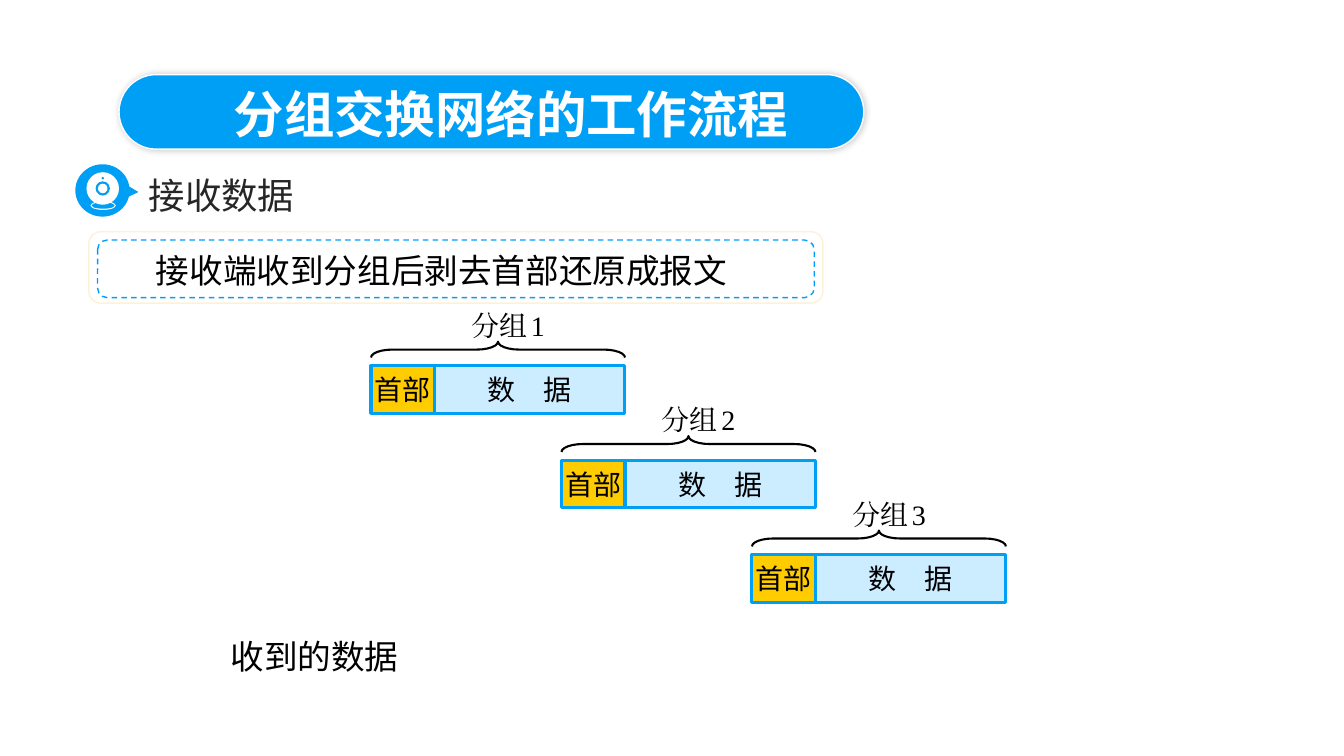
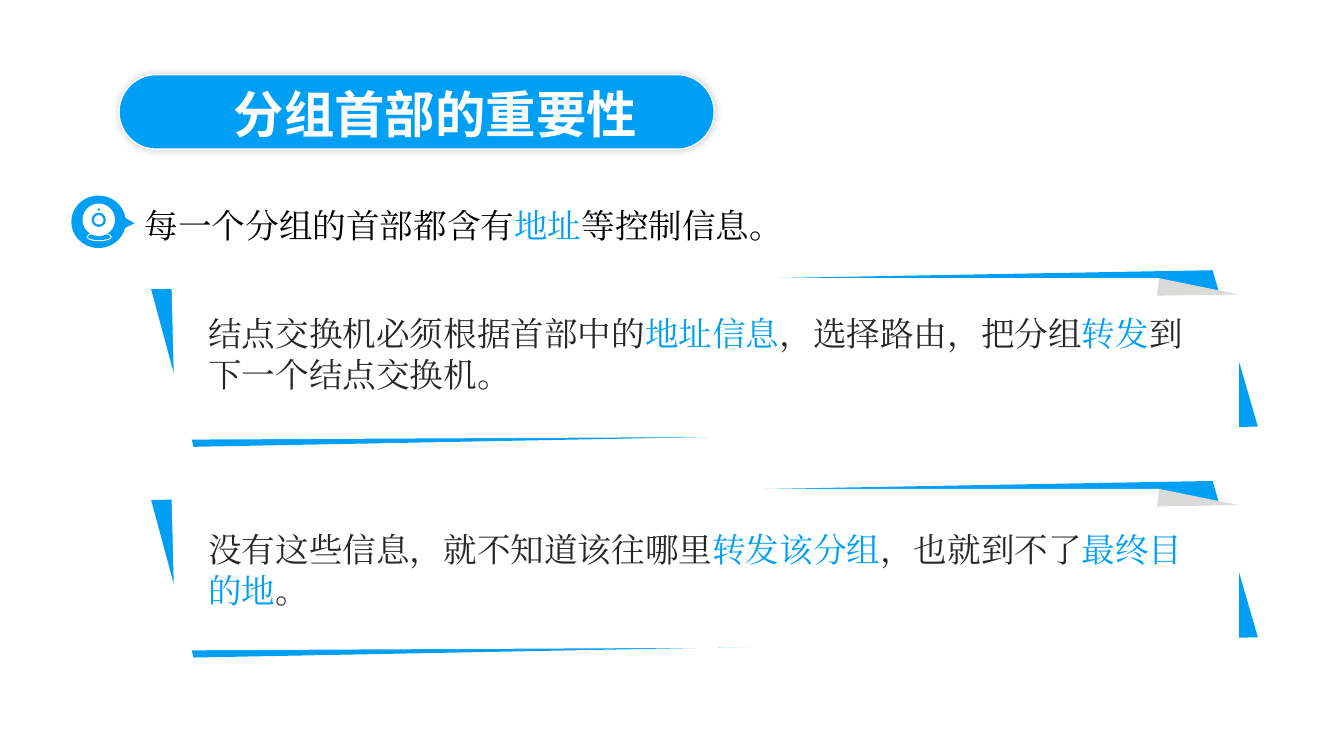
from dataclasses import dataclass
from typing import Any, NamedTuple, Optional

import pptx
import pptx.dml.color
import pptx.enum.dml
import pptx.enum.shapes
import pptx.enum.text
import pptx.oxml
import pptx.oxml.ns
import pptx.util

Cm = pptx.util.Cm
Pt = pptx.util.Pt
RGB = pptx.dml.color.RGBColor
SHAPE = pptx.enum.shapes.MSO_SHAPE
ALIGN = pptx.enum.text.PP_ALIGN


@dataclass(frozen=True)
class Theme:
    accent: str = "009FF6"
    white: str = "FFFFFF"
    black: str = "000000"
    ink: str = "262626"
    payload: str = "CCECFF"
    header: str = "FFCC00"
    cream: str = "FEF1D6"
    fold: str = "DADAD8"
    title_font: str = "Noto Sans CJK JP"
    body_font: str = "Noto Sans CJK SC"
    serif_font: str = "Times New Roman"
    title_size: int = 36
    heading_size: int = 26
    body_size: int = 24
    packet_size: int = 20
    gap_size: int = 10


THEME = Theme()


class Box(NamedTuple):
    left: float
    top: float
    width: float
    height: float

    def lengths(self) -> tuple:
        return tuple(Cm(value) for value in self)


class Span(NamedTuple):
    text: str
    color: str = THEME.black
    size: float = THEME.body_size
    font: str = THEME.body_font
    bold: bool = False


class Outline(NamedTuple):
    color: str
    width: float
    dashed: bool = False


class Packet(NamedTuple):
    number: int
    left: float
    top: float


class Panel(NamedTuple):
    top: float
    text_top: float
    spans: list[Span]


PANEL_LAYERS = (
    (THEME.accent, ((0, 0.48), (1.07, 4.45), (27.89, 3.94), (26.75, 0))),
    (THEME.white, ((0.51, 0.2), (0.61, 4.27), (27.41, 4.14), (27.41, 0.61),
                   (25.4, 0.61), (25.4, 0.2))),
    (THEME.fold, ((25.4, 0.2), (27.41, 0.61), (25.35, 0.64))),
)

WEBCAM_PARTS = (
    (Box(0.38, 0.93, 0.64, 0.22), THEME.white),
    (Box(0.41, 0.96, 0.58, 0.16), THEME.accent),
    (Box(0.28, 0.2, 0.82, 0.82), THEME.white),
    (Box(0.51, 0.43, 0.36, 0.36), THEME.accent),
    (Box(0.57, 0.49, 0.24, 0.24), THEME.white),
    (Box(0.66, 0.32, 0.06, 0.06), THEME.accent),
)


def paint(shape: Any, fill: Optional[str], outline: Optional[Outline] = None) -> None:
    shape.shadow.inherit = False
    if fill:
        shape.fill.solid()
        shape.fill.fore_color.rgb = RGB.from_string(fill)
    else:
        shape.fill.background()
    if outline:
        shape.line.color.rgb = RGB.from_string(outline.color)
        shape.line.width = Pt(outline.width)
        if outline.dashed:
            shape.line.dash_style = pptx.enum.dml.MSO_LINE.DASH
    else:
        shape.line.fill.background()


def add_block(slide: Any, kind: Any, box: Box, fill: Optional[str],
              outline: Optional[Outline] = None) -> Any:
    block = slide.shapes.add_shape(kind, *box.lengths())
    paint(block, fill, outline)
    return block


def write(frame: Any, spans: list[Span], spacing: Optional[float] = None) -> None:
    paragraph = frame.paragraphs[0]
    if spacing:
        paragraph.line_spacing = spacing
    for span in spans:
        run = paragraph.add_run()
        run.text = span.text
        run.font.size = Pt(span.size)
        run.font.bold = span.bold
        run.font.name = span.font
        run.font.color.rgb = RGB.from_string(span.color)
        latin = run.font._element.find(pptx.oxml.ns.qn("a:latin"))
        latin.addnext(pptx.oxml.parse_xml(
            f'<a:ea {pptx.oxml.ns.nsdecls("a")} typeface="{span.font}"/>'))


def add_text(slide: Any, box: Box, spans: list[Span],
             spacing: Optional[float] = None, wrap: bool = True) -> None:
    frame = slide.shapes.add_textbox(*box.lengths()).text_frame
    frame.word_wrap = wrap
    write(frame, spans, spacing)


def add_title(slide: Any, title: str, width: float) -> None:
    band = add_block(slide, SHAPE.ROUNDED_RECTANGLE, Box(3, 1.88, width, 1.88),
                     THEME.accent, Outline(THEME.white, 1))
    band.adjustments[0] = 0.5
    effects = band._element.spPr.find(pptx.oxml.ns.qn("a:effectLst"))
    effects.append(pptx.oxml.parse_xml(
        f'<a:outerShdw {pptx.oxml.ns.nsdecls("a")} blurRad="{Pt(5)}" dist="0" '
        'algn="ctr" rotWithShape="0"><a:srgbClr val="000000">'
        '<a:alpha val="20000"/></a:srgbClr></a:outerShdw>'))
    add_text(slide, Box(5.64, 1.98, width - 2.64, 1.8),
             [Span(title, THEME.white, THEME.title_size, THEME.title_font, True)])


def add_heading(slide: Any, left: float, top: float, spans: list[Span]) -> None:
    bubble = add_block(slide, SHAPE.OVAL_CALLOUT, Box(left, top, 1.37, 1.32),
                       THEME.accent)
    bubble.adjustments[0] = 0.66
    bubble.adjustments[1] = 0.03
    for part, color in WEBCAM_PARTS:
        add_block(slide, SHAPE.OVAL,
                  part._replace(left=left + part.left, top=top + part.top), color)
    add_text(slide, Box(left + 1.6, top, 18, 1.45), spans, 1.1)


def add_packet(slide: Any, packet: Packet) -> None:
    header_width, data_width, height = 1.6, 4.8, 1.2
    total = header_width + data_width
    fields = (
        ("数　据", packet.left + header_width, data_width, THEME.payload),
        ("首部", packet.left, header_width, THEME.header),
    )
    for label, left, width, fill in fields:
        field = add_block(slide, SHAPE.RECTANGLE, Box(left, packet.top, width, height),
                          fill, Outline(THEME.accent, 2.25))
        frame = field.text_frame
        frame.word_wrap = False
        frame.vertical_anchor = pptx.enum.text.MSO_ANCHOR.MIDDLE
        frame.paragraphs[0].alignment = ALIGN.CENTER
        write(frame, [Span(label, size=THEME.packet_size)])
    depth = 0.4
    brace = add_block(
        slide, SHAPE.LEFT_BRACE,
        Box(packet.left + (total - depth) / 2, packet.top - 0.41 - total / 2,
            depth, total),
        None, Outline(THEME.black, 1.5))
    brace.rotation = 90
    brace.adjustments[0] = 1.34
    add_text(slide, Box(packet.left + 2.28, packet.top - 1.57, 2.46, 1.12),
             [Span("分组", size=THEME.packet_size, font=THEME.serif_font),
              Span(" ", size=THEME.gap_size, font=THEME.serif_font),
              Span(str(packet.number), size=THEME.packet_size, font=THEME.serif_font)],
             wrap=False)


def add_panel(slide: Any, panel: Panel) -> None:
    left = 3.81
    for color, corners in PANEL_LAYERS:
        points = [(Cm(left + x), Cm(panel.top + y)) for x, y in corners]
        builder = slide.shapes.build_freeform(*points[0])
        builder.add_line_segments(points[1:], close=True)
        paint(builder.convert_to_shape(), color)
    add_text(slide, Box(5, panel.text_top, 25.4, 2.31), panel.spans)


def serif(text: str, color: str) -> Span:
    return Span(text, color, font=THEME.serif_font)


def build_workflow(slide: Any) -> None:
    add_title(slide, "分组交换网络的工作流程", 18.77)
    add_block(slide, SHAPE.ROUNDED_RECTANGLE, Box(2.24, 5.84, 18.5, 1.8),
              THEME.white, Outline(THEME.cream, 1))
    add_text(slide, Box(3.68, 6.17, 17.27, 1.27),
             [Span("接收端收到分组后剥去首部还原成报文")])
    add_block(slide, SHAPE.ROUNDED_RECTANGLE, Box(2.46, 6.05, 18.06, 1.45),
              None, Outline(THEME.accent, 1, True))
    for index in range(3):
        add_packet(slide, Packet(index + 1, 9.35 + 4.8 * index, 9.22 + 2.38 * index))
    add_text(slide, Box(5.56, 15.9, 5, 1.27), [Span("收到的数据")])
    add_heading(slide, 1.9, 4.14, [Span("接收数据", THEME.ink, THEME.heading_size)])


def build_importance(slide: Any) -> None:
    add_title(slide, "分组首部的重要性", 15)
    add_heading(slide, 1.8, 4.93, [
        serif("每一个分组的首部都含有", THEME.black),
        serif("地址", THEME.accent),
        serif("等控制信息。", THEME.black),
    ])
    panels = (
        Panel(6.81, 7.77, [
            serif("结点交换机必须根据首部中的", THEME.ink),
            serif("地址信息", THEME.accent),
            serif("，选择路由，把分组", THEME.ink),
            serif("转发", THEME.accent),
            serif("到下一个结点交换机。", THEME.ink),
        ]),
        Panel(12.12, 13.21, [
            serif("没有这些信息，就不知道该往哪里", THEME.ink),
            serif("转发该分组", THEME.accent),
            serif("，也就到不了", THEME.ink),
            serif("最终目的地", THEME.accent),
            serif("。", THEME.ink),
        ]),
    )
    for panel in panels:
        add_panel(slide, panel)


def main() -> None:
    deck = pptx.Presentation()
    deck.slide_width = Cm(33.87)
    deck.slide_height = Cm(19.05)
    blank = deck.slide_layouts[6]
    for build in (build_workflow, build_importance):
        build(deck.slides.add_slide(blank))
    deck.save("out.pptx")


if __name__ == "__main__":
    main()
